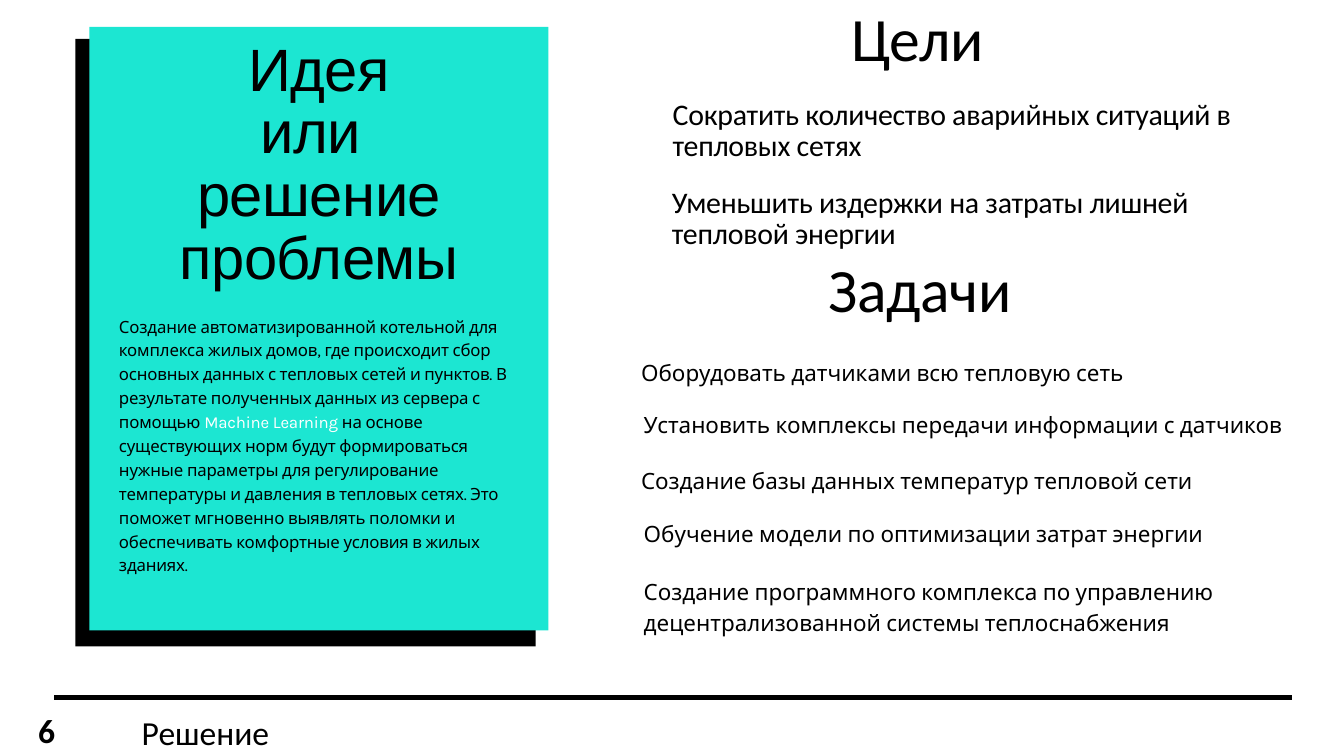
"""Builds the slide with the idea, goals and tasks of the heating project."""
from lxml import etree
from pptx import Presentation
from pptx.dml.color import RGBColor
from pptx.enum.shapes import MSO_CONNECTOR, MSO_SHAPE
from pptx.enum.text import MSO_AUTO_SIZE, PP_ALIGN
from pptx.oxml.ns import qn
from pptx.util import Inches, Pt

COLORS = {"ink": "000000", "card": "1CE6D2", "accent": "FFFFFF"}

CARD = [((1.12, 0.58, 6.85, 9.04), "ink"), ((1.33, 0.4, 6.83, 8.98), "card")]
IDEA_TITLE = ["Идея", "или ", "решение проблемы"]
IDEA = [
    ("Создание автоматизированной котельной для комплекса жилых домов, где происходит "
     "сбор основных данных с тепловых сетей и пунктов. В результате полученных данных "
     "из сервера с помощью ", "ink"),
    ("Machine Learning ", "accent"),
    ("на основе существующих норм будут формироваться нужные параметры для "
     "регулирование температуры и давления в тепловых сетях. Это поможет мгновенно "
     "выявлять поломки и обеспечивать комфортные условия в жилых зданиях.", "ink"),
]
HEADINGS = [("Цели", 12.67, 0.63), ("Задачи", 12.33, 4.37)]
GOALS = [
    ("Сократить количество аварийных ситуаций в тепловых сетях", 10.01, 1.49),
    ("Уменьшить издержки на затраты лишней тепловой энергии", 10, 2.8),
]
TASKS = [
    ("Оборудовать датчиками всю тепловую сеть", 9.54, 5.28, 0.48),
    ("Установить комплексы передачи информации с датчиков", 9.58, 6.05, 0.48),
    ("Создание базы данных температур тепловой сети", 9.54, 6.88, 0.44),
    ("Обучение модели по оптимизации затрат энергии", 9.58, 7.67, 0.44),
    ("Создание программного комплекса по управлению децентрализованной системы "
     "теплоснабжения", 9.58, 8.53, 0.95),
]
FOOTER = [("6", (0.47, 10.52, 0.5, 0.71), True),
          ("Решение", (2.01, 10.55, 3.66, 0.71), False)]


def color(name):
    return RGBColor.from_string(COLORS[name])


def add_text(slide, area, paragraphs, font, size, leading=None, tracking=0,
             align=PP_ALIGN.LEFT, bold=False, inset=0):
    frame = slide.shapes.add_textbox(*map(Inches, area)).text_frame
    frame.word_wrap = True
    frame.auto_size = MSO_AUTO_SIZE.SHAPE_TO_FIT_TEXT
    frame.margin_left = frame.margin_right = Inches(inset)
    frame.margin_top = frame.margin_bottom = Inches(inset / 2)
    for index, runs in enumerate(paragraphs):
        paragraph = frame.add_paragraph() if index else frame.paragraphs[0]
        paragraph.alignment = align
        if leading:
            paragraph.line_spacing = Pt(leading)
        paragraph.font.name = font
        paragraph.font.size = Pt(size)
        paragraph.font.bold = bold
        for text, ink in runs:
            run = paragraph.add_run()
            run.text = text
            run.font.color.rgb = color(ink)
            if tracking:
                run.font._element.set("spc", str(round(tracking * 100)))


def add_card(slide):
    for area, fill in CARD:
        panel = slide.shapes.add_shape(MSO_SHAPE.RECTANGLE, *map(Inches, area))
        panel.shadow.inherit = False
        panel.fill.solid()
        panel.fill.fore_color.rgb = color(fill)
        panel.line.fill.background()
    add_text(slide, (1.77, 0.6, 5.95, 4.28), [[(line, "ink")] for line in IDEA_TITLE],
             "Arial", 64, 67.2, -0.6, PP_ALIGN.CENTER)
    add_text(slide, (1.77, 4.65, 5.95, 3.62), [IDEA], "Karla", 18, 25.6, -0.2)


def add_plans(slide):
    for text, left, top in HEADINGS:
        add_text(slide, (left, top, 4.42, 0.57), [[(text, "ink")]],
                 "Calibri", 66, 33.6, -0.3)
    for text, left, top in GOALS:
        add_text(slide, (left, top, 8.86, 0.96), [[(text, "ink")]],
                 "Calibri", 32, 33.6, -0.3)
    for text, left, top, height in TASKS:
        add_text(slide, (left, top, 9.8, height), [[(text, "ink")]], "Karla", 24, 33.6)


def add_footer(slide):
    rule = slide.shapes.add_connector(MSO_CONNECTOR.STRAIGHT, Inches(0.81), Inches(10.38),
                                      Inches(19.22), Inches(10.38))
    rule.line.color.rgb = color("ink")
    rule.line.width = Pt(6)
    etree.SubElement(rule._element.spPr, qn("a:effectLst"))
    for text, area, bold in FOOTER:
        add_text(slide, area, [[(text, "ink")]], "Calibri", 36, bold=bold, inset=0.1)


def main():
    deck = Presentation()
    deck.slide_width, deck.slide_height = Inches(20), Inches(11.25)
    slide = deck.slides.add_slide(deck.slide_layouts[6])
    add_card(slide)
    add_plans(slide)
    add_footer(slide)
    deck.save("out.pptx")


if __name__ == "__main__":
    main()
